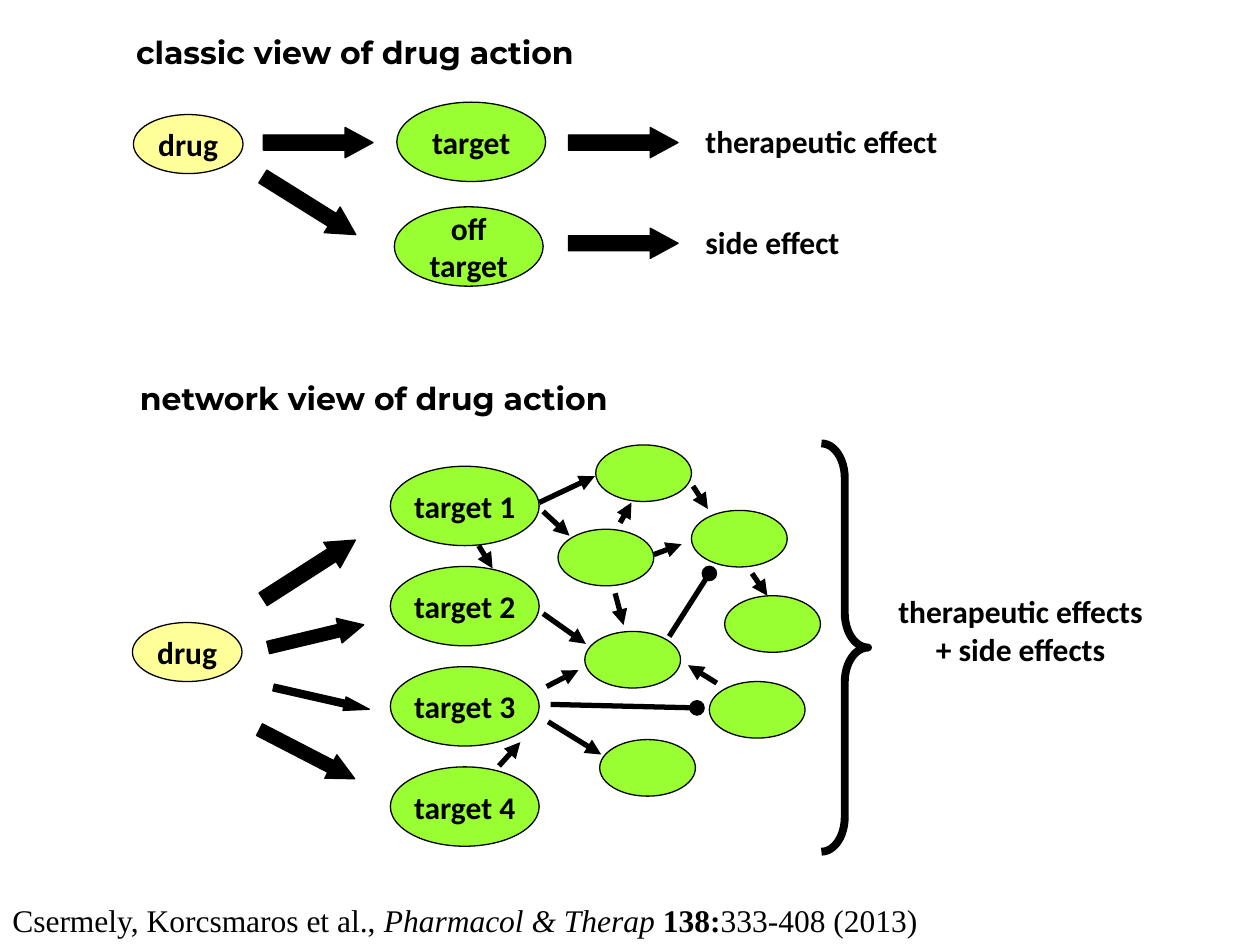
from lxml import etree
from pptx import Presentation
from pptx.dml.color import RGBColor
from pptx.enum.shapes import MSO_CONNECTOR, MSO_SHAPE
from pptx.enum.text import MSO_ANCHOR, MSO_AUTO_SIZE, PP_ALIGN
from pptx.oxml.ns import qn
from pptx.util import Cm, Pt

ELLIPSE, ARROW, BRACE = MSO_SHAPE.OVAL, MSO_SHAPE.RIGHT_ARROW, MSO_SHAPE.RIGHT_BRACE
STRAIGHT = MSO_CONNECTOR.STRAIGHT
LEFT, CENTER = PP_ALIGN.LEFT, PP_ALIGN.CENTER
TOP, MIDDLE = MSO_ANCHOR.TOP, MSO_ANCHOR.MIDDLE
GROW = MSO_AUTO_SIZE.SHAPE_TO_FIT_TEXT

COLORS = {"black": "000000", "white": "FFFFFF", "drug": "FFFF99", "protein": "99FF33"}
HEADING = {"name": "Montserrat", "size": Pt(18), "bold": True}
LABEL = {"name": "Calibri", "size": Pt(18), "bold": True}
CITATION = {"name": "Times New Roman", "size": Pt(18), "bold": False}

TITLE = ("classic view of drug action", (2.49, 0.53, 9.86, 1.02))
CAPTIONS = [
    (["network view of drug action"], (2.57, 7.52, 10.24, 1.02), HEADING, LEFT),
    (["therapeutic effect"], (13.97, 2.34, 5.79, 1.02), LABEL, LEFT),
    (["side effect"], (13.97, 4.37, 3.66, 1.02), LABEL, LEFT),
    (["therapeutic effects", "+ side effects"], (17.5, 11.81, 6.15, 1.78), LABEL, CENTER),
]
REFERENCE_BOX = (0, 18.03, 19.08, 1.02)
REFERENCE = [
    ("Csermely, Korcsmaros et al., ", {}),
    ("Pharmacol & Therap ", {"italic": True}),
    ("138:", {"bold": True}),
    ("333-408 (2013)", {}),
]

DRUG_SIZE, TARGET_SIZE, NODE_SIZE = (2.21, 1.19), (3, 1.6), (1.93, 1.14)
DRUGS = [(2.69, 2.31), (2.67, 12.55)]
CLASSIC_TARGETS = [(["target"], (8, 2.06)), (["off", "target"], (7.95, 4.17))]
NETWORK_TARGETS = ["target 1", "target 2", "target 3", "target 4"]
TARGET_LEFT, TARGET_TOP, TARGET_STEP = 7.87, 9.4, 2.02
NODES = [(12.01, 8.97), (11.25, 10.67), (13.94, 10.29), (11.79, 12.73),
         (14.61, 12.01), (12.09, 14.91), (14.3, 13.74)]

WIDE = (2.21, 0.61, 0.92)
BLOCK_ARROWS = [
    ((5.31, 2.57), WIDE, 0),
    ((11.46, 2.57), WIDE, 0),
    ((5.13, 3.84), WIDE, 32),
    ((11.46, 4.6), WIDE, 0),
    ((5.49, 13.94), (1.98, 0.28, 1.83), 12.8),
    ((5.38, 12.57), (1.98, 0.51, 1), 346.6),
    ((5.11, 14.94), (2.16, 0.53, 1.02), 27.3),
    ((5.13, 11.18), WIDE, 327.3),
]
BRACE_BOX = (16.56, 8.94, 0.94, 8.23)
LINKS = {
    "triangle": [
        (10.87, 10.13, 11.99, 9.6), (10.95, 10.31, 11.48, 10.8),
        (10.95, 12.37, 11.81, 12.98), (12.4, 11.96, 12.57, 12.6),
        (13.97, 9.8, 14.27, 10.26), (12.5, 10.54, 12.73, 10.13),
        (13.18, 11.18, 13.74, 10.97), (15.16, 11.56, 15.47, 12.01),
        (11.05, 14.55, 12.12, 15.21), (9.65, 11, 9.93, 11.46),
        (10.06, 15.44, 10.49, 14.96), (14.45, 13.77, 13.87, 13.41),
        (11.02, 13.84, 11.66, 13.51),
    ],
    "oval": [(13.49, 12.83, 14.3, 11.56), (11.1, 14.2, 14.05, 14.27)],
}


def color(name):
    return RGBColor.from_string(COLORS[name])


def lengths(values):
    return [Cm(value) for value in values]


def set_font(font, style):
    for name, value in style.items():
        setattr(font, name, value)
    font.color.rgb = color("black")


def write(shape, paragraphs, style, align, anchor=TOP):
    frame = shape.text_frame
    frame.word_wrap = False
    frame.vertical_anchor = anchor
    for index, runs in enumerate(paragraphs):
        para = frame.add_paragraph() if index else frame.paragraphs[0]
        para.alignment = align
        for text, changes in runs:
            span = para.add_run()
            span.text = text
            set_font(span.font, {**style, **changes})


def plain(lines):
    return [[(line, {})] for line in lines]


def add_text(slide, paragraphs, box, style, align):
    shape = slide.shapes.add_textbox(*lengths(box))
    write(shape, paragraphs, style, align)
    shape.text_frame.auto_size = GROW
    return shape


def add_shape(slide, kind, box, fill=None, width=0.75):
    shape = slide.shapes.add_shape(kind, *lengths(box))
    shape.shadow.inherit = False
    if fill:
        shape.fill.solid()
        shape.fill.fore_color.rgb = color(fill)
    else:
        shape.fill.background()
    shape.line.color.rgb = color("black")
    shape.line.width = Pt(width)
    return shape


def add_ellipse(slide, position, size, fill, lines=()):
    shape = add_shape(slide, ELLIPSE, position + size, fill)
    write(shape, plain(lines), LABEL, CENTER, MIDDLE)


def add_link(slide, ends, head):
    link = slide.shapes.add_connector(STRAIGHT, *lengths(ends))
    link.line.color.rgb = color("black")
    link.line.width = Pt(3)
    etree.SubElement(link.line._get_or_add_ln(), qn("a:tailEnd"), type=head)
    etree.SubElement(link._element.spPr, qn("a:effectLst"))


def main():
    deck = Presentation()
    deck.slide_width, deck.slide_height = Cm(25.4), Cm(19.05)
    slide = deck.slides.add_slide(deck.slide_layouts[5])

    text, box = TITLE
    title = slide.shapes.title
    title.left, title.top, title.width, title.height = lengths(box)
    write(title, plain([text]), HEADING, LEFT)
    title.text_frame.auto_size = GROW

    for position in DRUGS:
        add_ellipse(slide, position, DRUG_SIZE, "drug", ["drug"])
    for lines, position in CLASSIC_TARGETS:
        add_ellipse(slide, position, TARGET_SIZE, "protein", lines)
    for row, name in enumerate(NETWORK_TARGETS):
        position = (TARGET_LEFT, TARGET_TOP + row * TARGET_STEP)
        add_ellipse(slide, position, TARGET_SIZE, "protein", [name])
    for position in NODES:
        add_ellipse(slide, position, NODE_SIZE, "protein")

    for position, (width, height, head), angle in BLOCK_ARROWS:
        arrow = add_shape(slide, ARROW, position + (width, height), "black")
        arrow.adjustments[1] = head
        arrow.rotation = angle
    for head, links in LINKS.items():
        for ends in links:
            add_link(slide, ends, head)
    brace = add_shape(slide, BRACE, BRACE_BOX, width=4.5)
    brace.adjustments[0] = 0.74

    for lines, box, style, align in CAPTIONS:
        add_text(slide, plain(lines), box, style, align)
    reference = add_text(slide, [REFERENCE], REFERENCE_BOX, CITATION, LEFT)
    reference.fill.solid()
    reference.fill.fore_color.rgb = color("white")

    deck.save("out.pptx")


if __name__ == "__main__":
    main()
